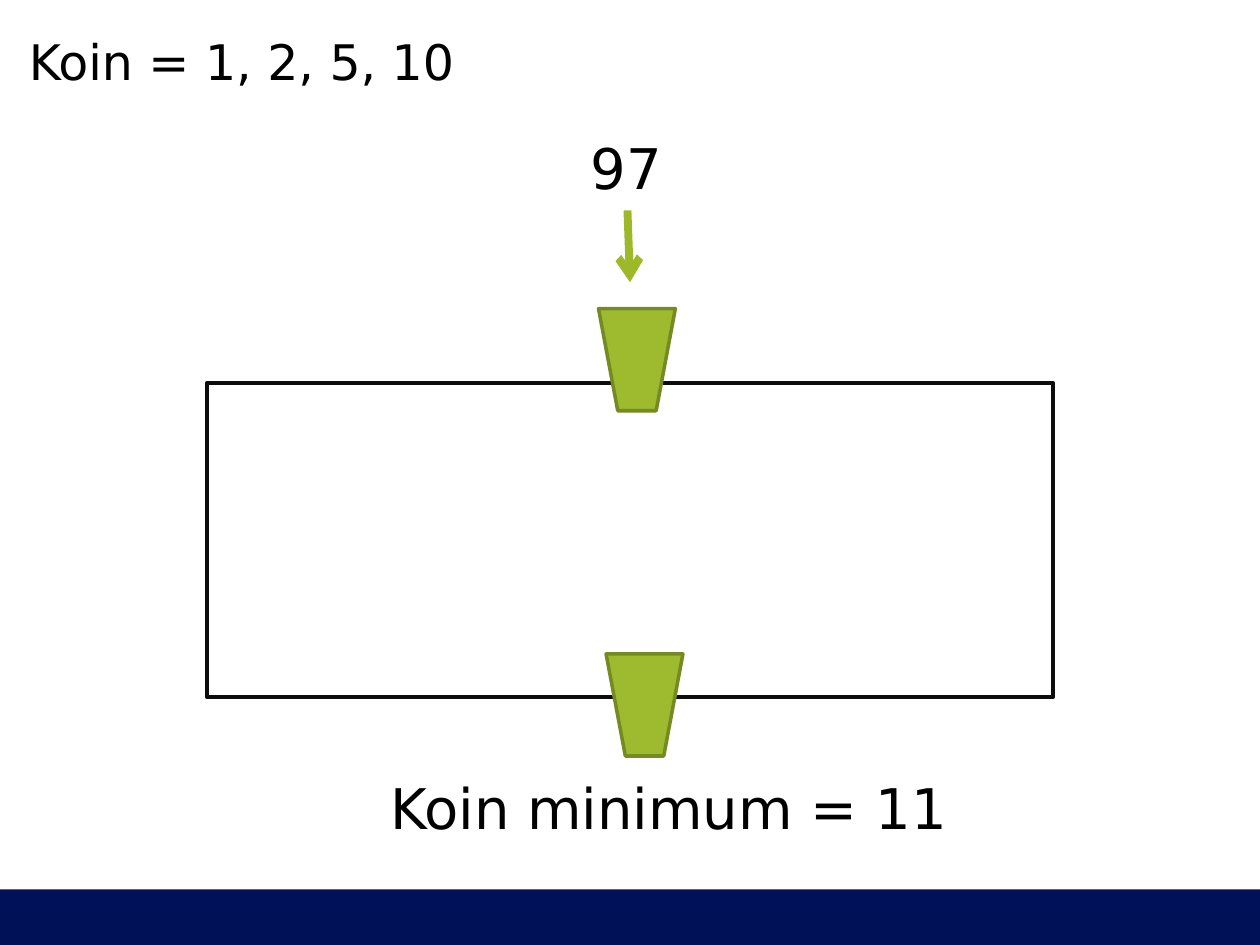
import pptx
import pptx.dml.color
import pptx.enum.shapes
import pptx.enum.text
import pptx.oxml
import pptx.oxml.ns
import pptx.util
from pptx.util import Inches

COLORS = {
    "footer": "001158",
    "box": "0D0D0D",
    "funnel": "9EBA2E",
    "funnel_edge": "758A22",
    "arrow": "9DB92A",
    "text": "000000",
}
FONT = "DejaVu Sans"
SHAPES = pptx.enum.shapes.MSO_SHAPE


def rgb(name):
    return pptx.dml.color.RGBColor.from_string(COLORS[name])


def add_block(slide, kind, left, top, width, height, fill=None, line=None, line_width=0):
    """Add a preset shape; a missing fill or line colour means none is drawn."""
    block = slide.shapes.add_shape(
        kind, Inches(left), Inches(top), Inches(width), Inches(height))
    block.shadow.inherit = False
    if fill:
        block.fill.solid()
        block.fill.fore_color.rgb = rgb(fill)
    else:
        block.fill.background()
    if line:
        block.line.color.rgb = rgb(line)
        block.line.width = pptx.util.Pt(line_width)
    else:
        block.line.fill.background()
    return block


def add_funnel(slide, left, top):
    funnel = add_block(slide, SHAPES.TRAPEZOID, left, top, 0.61, 0.81,
                       "funnel", "funnel_edge", 2)
    funnel.rotation = 180


def add_label(slide, text, left, top, width, height, size):
    label = slide.shapes.add_textbox(
        Inches(left), Inches(top), Inches(width), Inches(height))
    frame = label.text_frame
    frame.word_wrap = False
    frame.auto_size = pptx.enum.text.MSO_AUTO_SIZE.SHAPE_TO_FIT_TEXT
    paragraph = frame.paragraphs[0]
    paragraph.text = text
    paragraph.font.name = FONT
    paragraph.font.size = pptx.util.Pt(size)
    paragraph.font.color.rgb = rgb("text")


def add_arrow(slide, start, end):
    arrow = slide.shapes.add_connector(
        pptx.enum.shapes.MSO_CONNECTOR.STRAIGHT,
        *(Inches(value) for value in start + end))
    arrow.line.color.rgb = rgb("arrow")
    arrow.line.width = pptx.util.Pt(4.5)
    properties = arrow.element.spPr
    namespace = pptx.oxml.ns.nsdecls("a")
    properties.find(pptx.oxml.ns.qn("a:ln")).append(
        pptx.oxml.parse_xml(f'<a:tailEnd {namespace} type="arrow"/>'))
    properties.append(pptx.oxml.parse_xml(f"<a:effectLst {namespace}/>"))


def main():
    deck = pptx.Presentation()
    deck.slide_width, deck.slide_height = Inches(10), Inches(7.5)
    slide = deck.slides.add_slide(deck.slide_layouts[6])

    add_block(slide, SHAPES.RECTANGLE, 0, 7.06, 10, 0.44, fill="footer")
    add_block(slide, SHAPES.RECTANGLE, 1.64, 3.04, 6.72, 2.49,
              line="box", line_width=2.25)
    add_funnel(slide, 4.75, 2.45)
    add_funnel(slide, 4.81, 5.19)
    add_label(slide, "97", 4.59, 1.01, 0.77, 0.64, 32)
    add_label(slide, "Koin minimum = 11", 3, 6.09, 4.73, 0.64, 32)
    add_arrow(slide, (4.98, 1.67), (5, 2.24))
    add_label(slide, "Koin = 1, 2, 5, 10", 0.13, 0.2, 3.75, 0.57, 28)

    deck.save("out.pptx")


if __name__ == "__main__":
    main()
